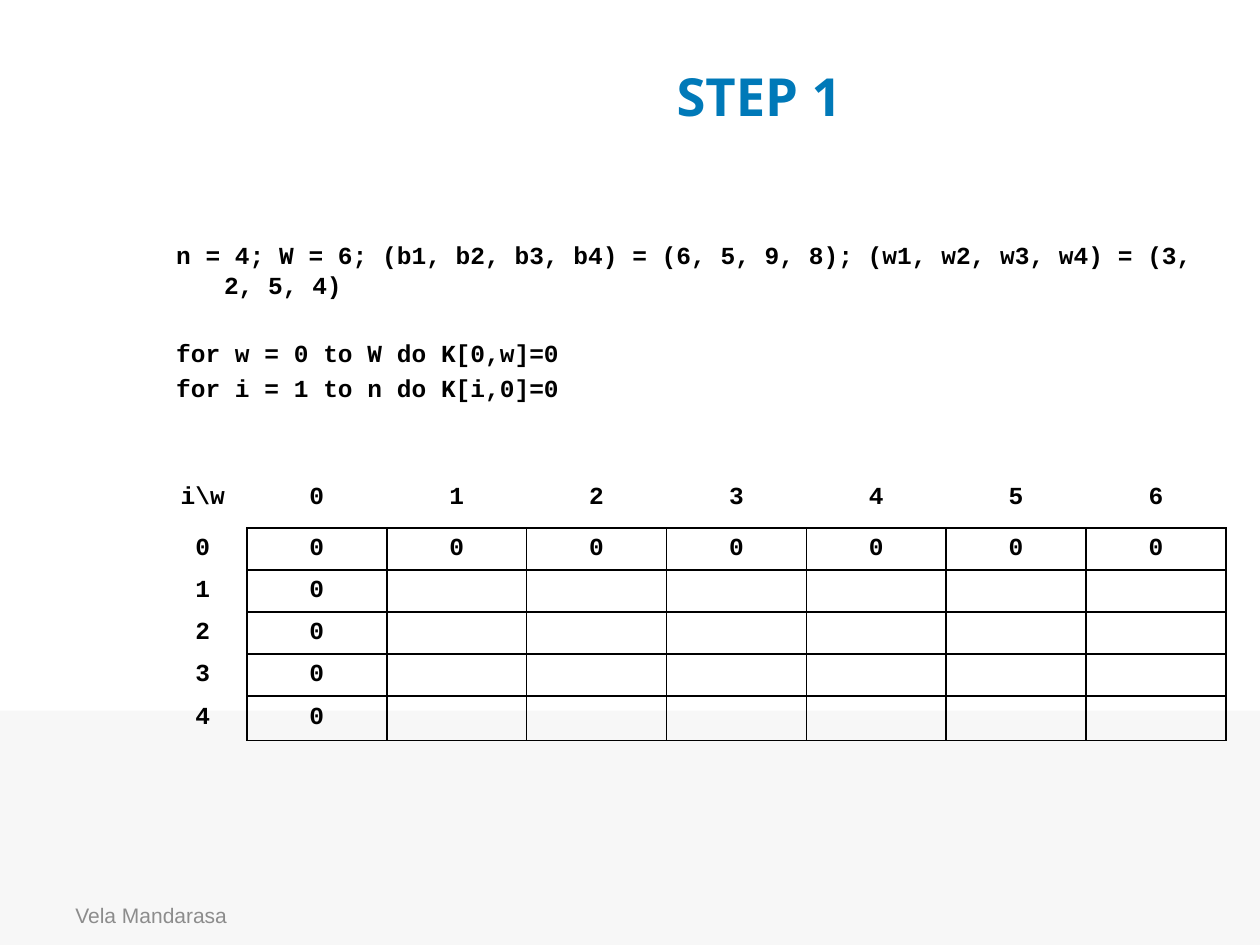
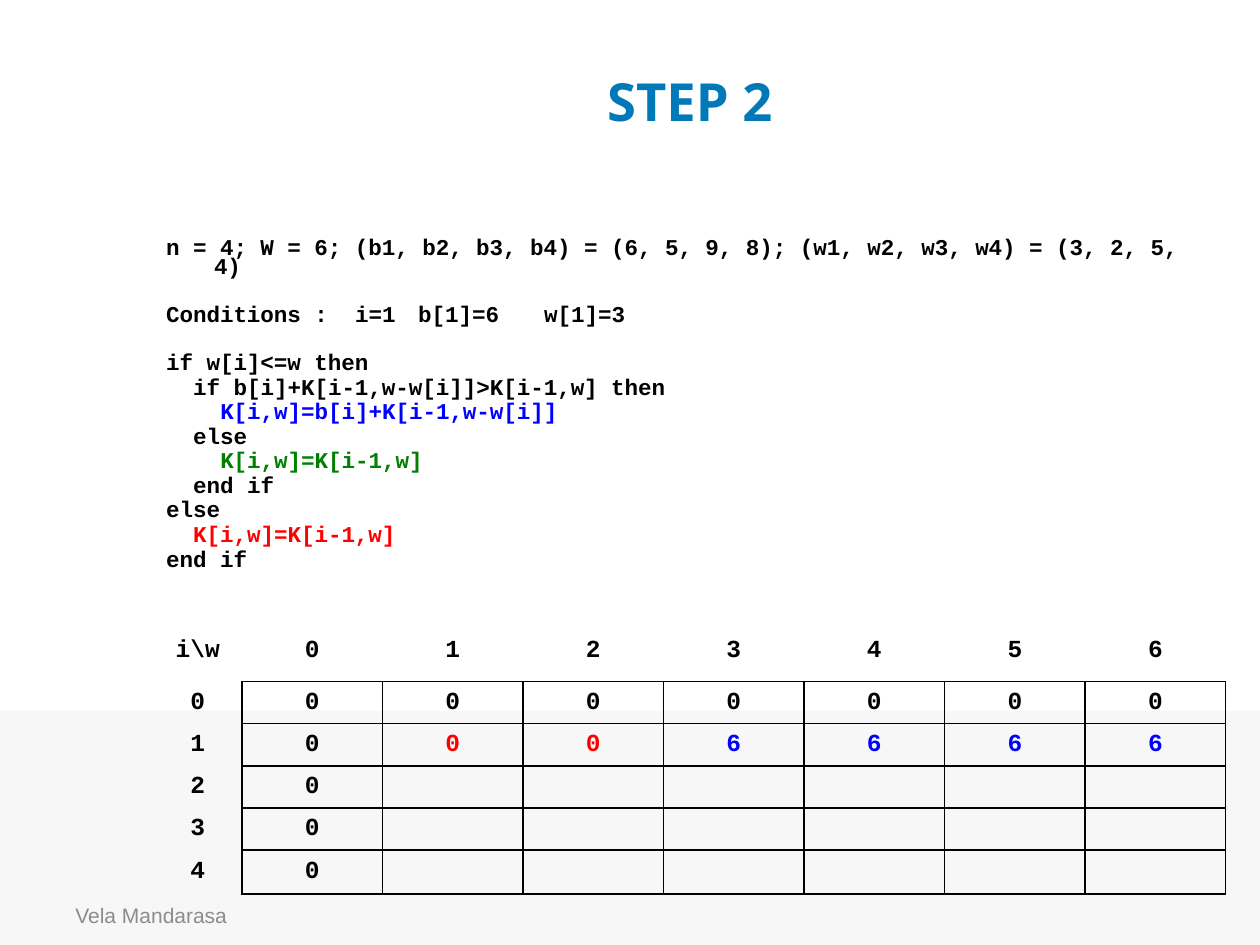
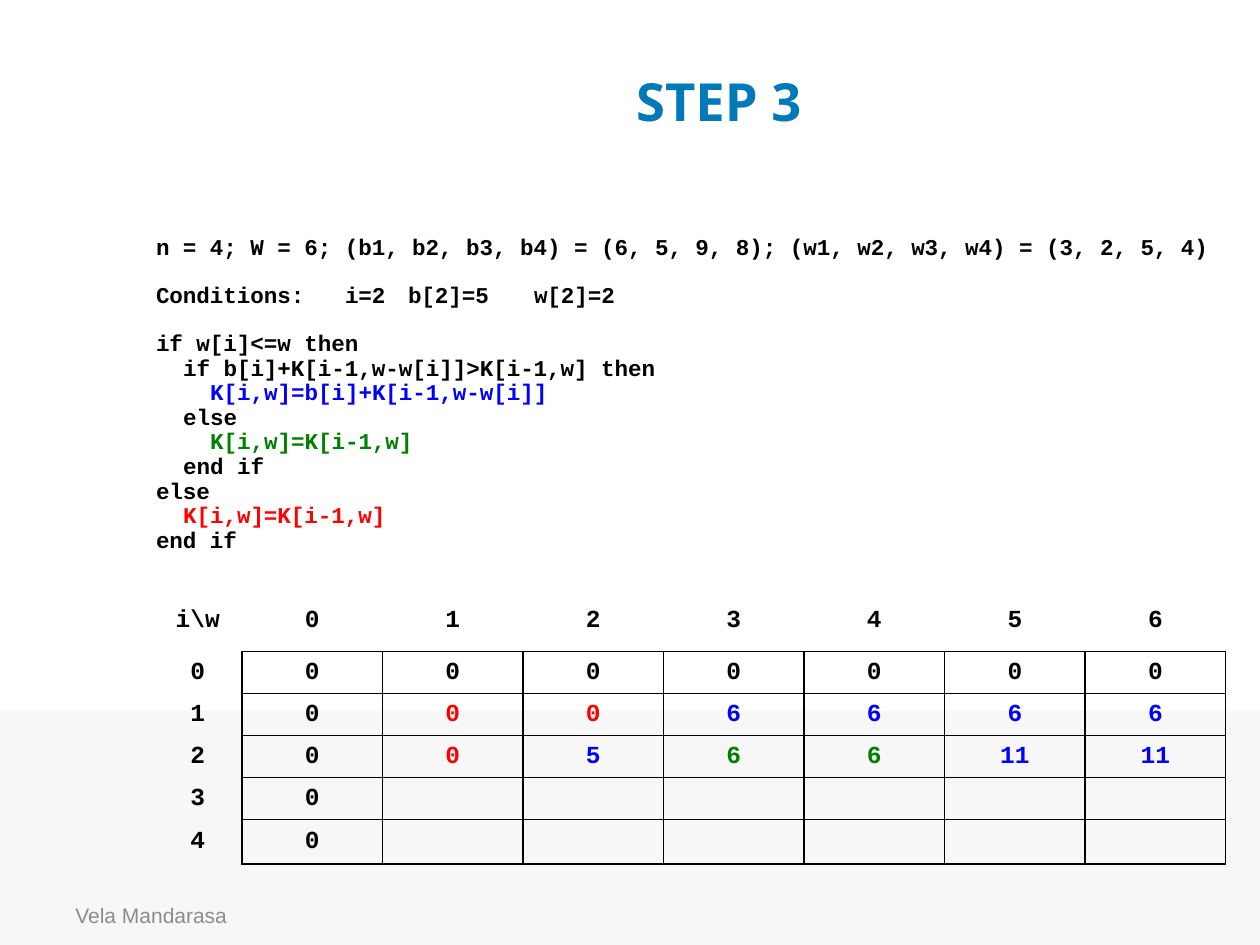
import dataclasses
import typing

import lxml.etree
import pptx
import pptx.dml.color
import pptx.enum.shapes
import pptx.enum.text
import pptx.oxml.ns
import pptx.util

COLOURS = {
    "black": "000000",
    "blue": "0000FF",
    "green": "008000",
    "red": "FF0000",
    "title": "0079B8",
    "footer": "8C8C8C",
    "band": "F7F7F7",
}
CODE_FONT = "Courier New"
GRID_COLUMNS, GRID_ROWS = 100, 75
SLIDE_WIDTH, SLIDE_HEIGHT = pptx.util.Inches(10), pptx.util.Inches(7.5)
CELL_SIZE = 14
CHARACTER_SHARE = 0.6
SPACE_BEFORE = 3.2
LINE_SHARE = 1.13
HANGING = 3.8
LABEL_WIDTH = 7
ROW_HEIGHTS = (4.8, 3.2, 3.2, 3.2, 3.2, 3.5)
CAPACITIES = range(7)
ITEMS = range(5)
NO_STYLE = "{2D5ABB26-0587-4C30-8999-92F81FD0307C}"


@dataclasses.dataclass(frozen=True)
class Place:
    left: float
    top: float
    width: float
    height: float

    def lengths(self) -> tuple[int, int, int, int]:
        return columns(self.left), rows(self.top), columns(self.width), rows(self.height)


@dataclasses.dataclass(frozen=True)
class Span:
    text: str
    colour: str = "black"


@dataclasses.dataclass(frozen=True)
class Line:
    text: str
    level: int = 0
    colour: str = "black"
    gap: bool = False
    fields: tuple[str, ...] = ()


@dataclasses.dataclass(frozen=True)
class Step:
    title: str
    title_place: Place
    code_place: Place
    code_size: float
    line_spacing: float
    lines: tuple[Line, ...]
    table_place: Place
    solved: tuple[tuple[Span, ...], ...] = ()


def columns(count: float) -> int:
    return round(SLIDE_WIDTH * count / GRID_COLUMNS)


def rows(count: float) -> int:
    return round(SLIDE_HEIGHT * count / GRID_ROWS)


def rgb(name: str) -> pptx.dml.color.RGBColor:
    return pptx.dml.color.RGBColor.from_string(COLOURS[name])


def add_span(para: typing.Any, text: str, font: str, size: float, colour: str, bold: bool = True) -> None:
    span = para.add_run()
    span.text = text
    span.font.name = font
    span.font.size = pptx.util.Pt(size)
    span.font.bold = bold
    span.font.color.rgb = rgb(colour)


def add_box(page: typing.Any, place: Place, anchor: typing.Any) -> typing.Any:
    frame = page.shapes.add_textbox(*place.lengths()).text_frame
    frame.word_wrap = True
    frame.vertical_anchor = anchor
    return frame


def add_band_and_footer(page: typing.Any) -> None:
    place = Place(0, 56.4, GRID_COLUMNS, GRID_ROWS - 56.4)
    band = page.shapes.add_shape(pptx.enum.shapes.MSO_SHAPE.RECTANGLE, *place.lengths())
    band.shadow.inherit = False
    band.fill.solid()
    band.fill.fore_color.rgb = rgb("band")
    band.line.fill.background()
    frame = add_box(page, Place(5, 70.6, 23.3, 4), pptx.enum.text.MSO_ANCHOR.MIDDLE)
    add_span(frame.paragraphs[0], "Vela Mandarasa", "Arial", 12, "footer", bold=False)


def add_title(page: typing.Any, step: Step) -> None:
    frame = add_box(page, step.title_place, pptx.enum.text.MSO_ANCHOR.MIDDLE)
    para = frame.paragraphs[0]
    para.alignment = pptx.enum.text.PP_ALIGN.CENTER
    add_span(para, step.title, "Open Sans", 30, "title")


def add_tab_stops(properties: typing.Any, line: Line, character: int) -> None:
    stops = lxml.etree.SubElement(properties, pptx.oxml.ns.qn("a:tabLst"))
    position = len(line.text)
    for field in line.fields:
        position += 3
        lxml.etree.SubElement(stops, pptx.oxml.ns.qn("a:tab"), pos=str(position * character), algn="l")
        position += len(field)


def add_code(page: typing.Any, step: Step) -> None:
    frame = add_box(page, step.code_place, pptx.enum.text.MSO_ANCHOR.TOP)
    character = pptx.util.Pt(step.code_size * CHARACTER_SHARE)
    blank_line = step.code_size * LINE_SHARE * step.line_spacing + SPACE_BEFORE
    for index, line in enumerate(step.lines):
        para = frame.add_paragraph() if index else frame.paragraphs[0]
        para.line_spacing = step.line_spacing
        para.space_before = pptx.util.Pt(SPACE_BEFORE + (blank_line if line.gap else 0))
        properties = para._p.get_or_add_pPr()
        hanging = 0 if line.fields else columns(HANGING)
        properties.set("marL", str(hanging + 2 * line.level * character))
        properties.set("indent", str(-hanging))
        if line.fields:
            add_tab_stops(properties, line, character)
        for text in (line.text, *("\t" + field for field in line.fields)):
            add_span(para, text, CODE_FONT, step.code_size, line.colour)


def set_borders(cell: typing.Any, visible: dict[str, bool]) -> None:
    properties = cell._tc.get_or_add_tcPr()
    for index, (side, shown) in enumerate(visible.items()):
        border = lxml.etree.Element(pptx.oxml.ns.qn("a:ln" + side), w=str(pptx.util.Pt(1)))
        fill = lxml.etree.SubElement(border, pptx.oxml.ns.qn("a:solidFill" if shown else "a:noFill"))
        if shown:
            lxml.etree.SubElement(fill, pptx.oxml.ns.qn("a:srgbClr"), val=COLOURS["black"])
        properties.insert(index, border)


def table_rows(step: Step) -> list[list[Span]]:
    grid = [[Span("i\\w"), *(Span(str(capacity)) for capacity in CAPACITIES)]]
    values = [tuple(Span("0") for _ in CAPACITIES[1:]), *step.solved]
    for item in ITEMS:
        row = values[item] if item < len(values) else tuple(Span("") for _ in CAPACITIES[1:])
        grid.append([Span(str(item)), Span("0"), *row])
    return grid


def add_results(page: typing.Any, step: Step) -> None:
    grid = table_rows(step)
    table = page.shapes.add_table(len(grid), len(grid[0]), *step.table_place.lengths()).table
    table.first_row = table.horz_banding = False
    table._tbl.tblPr.find(pptx.oxml.ns.qn("a:tableStyleId")).text = NO_STYLE
    value_width = (step.table_place.width - LABEL_WIDTH) / len(CAPACITIES)
    for index, column in enumerate(table.columns):
        column.width = columns(value_width if index else LABEL_WIDTH)
    for row, height in zip(table.rows, ROW_HEIGHTS):
        row.height = rows(height)
    for row_index, row in enumerate(grid):
        for column_index, span in enumerate(row):
            cell = table.cell(row_index, column_index)
            cell.fill.background()
            cell.vertical_anchor = pptx.enum.text.MSO_ANCHOR.MIDDLE
            inside = row_index > 0 and column_index > 0
            set_borders(cell, {
                "L": inside,
                "R": inside or (row_index > 0 and column_index == 0),
                "T": inside,
                "B": inside or (row_index == 0 and column_index > 0),
            })
            para = cell.text_frame.paragraphs[0]
            para.alignment = pptx.enum.text.PP_ALIGN.CENTER
            if span.text:
                add_span(para, span.text, CODE_FONT, CELL_SIZE, span.colour)
            else:
                lxml.etree.SubElement(para._p, pptx.oxml.ns.qn("a:endParaRPr"), sz=str(CELL_SIZE * 100))


GIVEN = Line("n = 4; W = 6; (b1, b2, b3, b4) = (6, 5, 9, 8); (w1, w2, w3, w4) = (3, 2, 5, 4)")
ALGORITHM = (
    Line("if w[i]<=w then", gap=True),
    Line("if b[i]+K[i-1,w-w[i]]>K[i-1,w] then", 1),
    Line("K[i,w]=b[i]+K[i-1,w-w[i]]", 2, "blue"),
    Line("else", 1),
    Line("K[i,w]=K[i-1,w]", 2, "green"),
    Line("end if", 1),
    Line("else"),
    Line("K[i,w]=K[i-1,w]", 1, "red"),
    Line("end if"),
)
FIRST_ITEM = (Span("0", "red"),) * 2 + (Span("6", "blue"),) * 4
SECOND_ITEM = (
    Span("0", "red"),
    Span("5", "blue"),
    *(Span("6", "green"),) * 2,
    *(Span("11", "blue"),) * 2,
)
STEPS = (
    Step(
        "STEP 1", Place(13, 4.4, 94.5, 6.3), Place(13, 18.6, 84.3, 28.4), 14, 1,
        (GIVEN, Line("for w = 0 to W do K[0,w]=0", gap=True), Line("for i = 1 to n do K[i,0]=0")),
        Place(12.6, 37.1, 84.7, 21.1),
    ),
    Step(
        "STEP 2", Place(7.5, 4.8, 94.5, 6.3), Place(12.2, 18.6, 85.1, 28.4), 12.9, 0.7,
        (GIVEN, Line("Conditions :", gap=True, fields=("i=1", "b[1]=6", "w[1]=3")), *ALGORITHM),
        Place(12.2, 49.3, 85.1, 21.1), (FIRST_ITEM,),
    ),
    Step(
        "STEP 3", Place(9.8, 4.8, 94.5, 6.3), Place(11.4, 18.6, 85.8, 28.4), 12.9, 0.7,
        (GIVEN, Line("Conditions:", gap=True, fields=("i=2", "b[2]=5", "w[2]=2")), *ALGORITHM),
        Place(12.2, 46.9, 85.1, 21.1), (FIRST_ITEM, SECOND_ITEM),
    ),
)


def main() -> None:
    deck = pptx.Presentation()
    deck.slide_width, deck.slide_height = SLIDE_WIDTH, SLIDE_HEIGHT
    for step in STEPS:
        page = deck.slides.add_slide(deck.slide_layouts[6])
        add_band_and_footer(page)
        add_title(page, step)
        add_code(page, step)
        add_results(page, step)
    deck.save("out.pptx")


if __name__ == "__main__":
    main()
